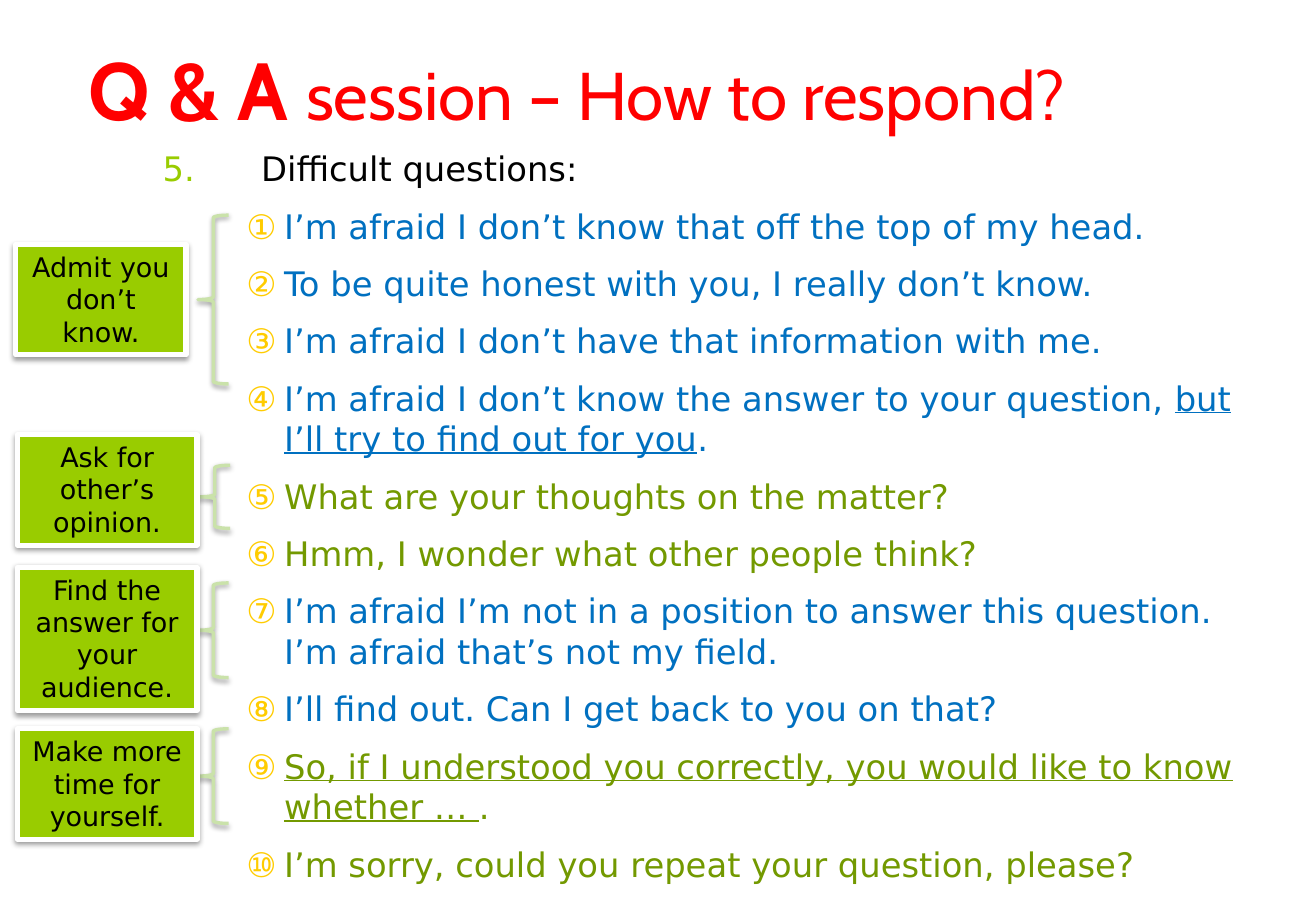
from lxml import etree
from pptx import Presentation
from pptx import util as u
from pptx.dml.color import RGBColor
from pptx.enum import shapes, text
from pptx.oxml import ns

RED = RGBColor(0xFF, 0x00, 0x00)
BLACK = RGBColor(0x00, 0x00, 0x00)
WHITE = RGBColor(0xFF, 0xFF, 0xFF)
BLUE = RGBColor(0x00, 0x70, 0xC0)
GREEN = RGBColor(0x73, 0x99, 0x00)
LIME = RGBColor(0x99, 0xCC, 0x00)
GOLD = RGBColor(0xFF, 0xCC, 0x00)
PALE = RGBColor(0xCA, 0xE2, 0xAA)

# Each reply: colour, then (words, underlined) runs
REPLIES = [
    (BLUE, [("I’m afraid I don’t know that off the top of my head.", False)]),
    (BLUE, [("To be quite honest with you, I really don’t know.", False)]),
    (BLUE, [("I’m afraid I don’t have that information with me.", False)]),
    (BLUE, [("I’m afraid I don’t know the answer to your question, ", False),
            ("but I’ll try to find out for you", True), (".", False)]),
    (GREEN, [("What are your thoughts on the matter?", False)]),
    (GREEN, [("Hmm, I wonder what other people think?", False)]),
    (BLUE, [("I’m afraid I’m not in a position to answer this question. "
             "I’m afraid that’s not my field.", False)]),
    (BLUE, [("I’ll find out. Can I get back to you on that?", False)]),
    (GREEN, [("So, if I understood you correctly, you would like to know "
              "whether … ", True), (".", False)]),
    (GREEN, [("I’m sorry, could you repeat your question, please?", False)]),
]

# Each advice: words, box (left, top, width, height), brace (left, top, height)
ADVICE = [
    ("Admit you don’t know.", (0.33, 5.11, 3.56, 2.31), (4.14, 4.5, 3.53)),
    ("Ask for other’s opinion.", (0.36, 9.09, 3.76, 2.31), (4.17, 9.73, 1.32)),
    ("Find the answer for your audience.", (0.36, 11.86, 3.76, 3),
     (4.14, 12.19, 1.98)),
    ("Make more time for yourself.", (0.36, 15.24, 3.76, 2.31),
     (4.14, 15.24, 1.98)),
]


def add(parent, tag, **attrs):
    return etree.SubElement(parent, ns.qn(tag), attrs)


class Deck:
    body = {"name": "DejaVu Sans", "size": u.Pt(20)}
    label = {"name": "DejaVu Sans", "size": u.Pt(16), "color": BLACK}
    head = {"name": "Cabin", "size": u.Pt(40), "color": RED, "bold": False}

    def __init__(self, width, height):
        self.prs = Presentation()
        self.prs.slide_width = u.Cm(width)
        self.prs.slide_height = u.Cm(height)
        self.slide = self.prs.slides.add_slide(self.prs.slide_layouts[6])

    def run(self, para, words, style, **more):
        run = para.add_run()
        run.text = words
        for key, value in {**style, **more}.items():
            if key == "color":
                run.font.color.rgb = value
            else:
                setattr(run.font, key, value)

    def frame(self, *box, anchor=text.MSO_ANCHOR.TOP):
        frame = self.slide.shapes.add_textbox(*map(u.Cm, box)).text_frame
        frame.word_wrap = True
        frame.vertical_anchor = anchor
        return frame

    def item(self, para, margin, hang, color, **number):
        para.space_after = u.Pt(6)
        props = para._p.get_or_add_pPr()
        props.set("marL", str(u.Cm(margin)))
        props.set("indent", str(-u.Cm(hang)))
        add(add(props, "a:buClr"), "a:srgbClr", val=str(color))
        add(props, "a:buFont", typeface=self.body["name"])
        add(props, "a:buAutoNum", **number)

    def shape(self, kind, box, color, width):
        shape = self.slide.shapes.add_shape(kind, *map(u.Cm, box))
        shape.line.color.rgb = color
        shape.line.width = u.Pt(width)
        shape.shadow.inherit = False
        effects = shape._element.spPr.find(ns.qn("a:effectLst"))
        shadow = add(effects, "a:outerShdw", blurRad="40000", dist="20000",
                     dir="5400000", rotWithShape="0")
        add(add(shadow, "a:srgbClr", val=str(BLACK)), "a:alpha", val="38000")
        return shape

    def brace(self, left, top, height):
        box = (left, top, 0.64, height)
        self.shape(shapes.MSO_SHAPE.LEFT_BRACE, box, PALE, 2).fill.background()

    def note(self, words, box):
        shape = self.shape(shapes.MSO_SHAPE.RECTANGLE, box, WHITE, 3)
        shape.fill.solid()
        shape.fill.fore_color.rgb = LIME
        frame = shape.text_frame
        frame.word_wrap = True
        frame.auto_size = text.MSO_AUTO_SIZE.SHAPE_TO_FIT_TEXT
        frame.vertical_anchor = text.MSO_ANCHOR.TOP
        para = frame.paragraphs[0]
        para.alignment = text.PP_ALIGN.CENTER
        self.run(para, words, self.label)


def main():
    deck = Deck(27.51, 19.05)

    # Title
    title = deck.frame(1.6, -0.2, 22, 3.18, anchor=text.MSO_ANCHOR.BOTTOM)
    para = title.paragraphs[0]
    deck.run(para, "Q & A ", deck.head, size=u.Pt(48), bold=True)
    deck.run(para, "session – How to respond?", deck.head)

    # Numbered replies
    body = deck.frame(3.15, 2.97, 23.62, 15.44)
    para = body.paragraphs[0]
    deck.item(para, 2.06, 2.06, LIME, type="arabicPeriod", startAt="5")
    deck.run(para, "Difficult questions:", deck.body, color=BLACK)
    for color, runs in REPLIES:
        para = body.add_paragraph()
        para.level = 1
        para.space_before = u.Pt(4)
        deck.item(para, 2.54, 0.79, GOLD, type="circleNumWdWhitePlain")
        for words, lined in runs:
            deck.run(para, words, deck.body, color=color, underline=lined)

    # Braces, then the advice boxes over them
    for _, _, brace in ADVICE:
        deck.brace(*brace)
    for words, box, _ in ADVICE:
        deck.note(words, box)

    deck.prs.save("out.pptx")


if __name__ == "__main__":
    main()
